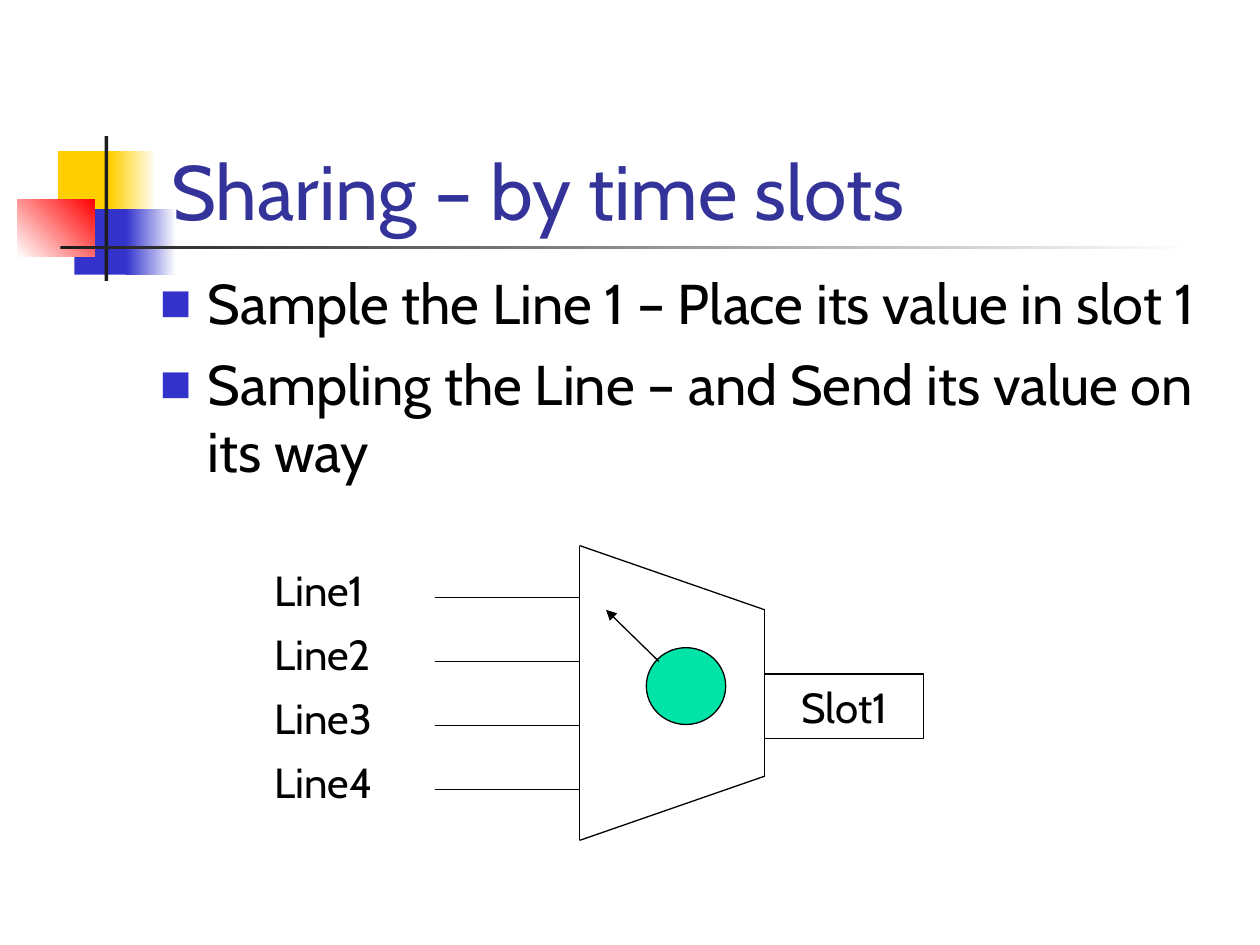
import pptx
import pptx.util
import pptx.dml.color
import pptx.enum.shapes
import pptx.enum.text
import pptx.oxml
import pptx.oxml.ns

WIDTH, HEIGHT = pptx.util.Inches(10), pptx.util.Inches(7.5)
COLUMN, ROW = WIDTH / 100, HEIGHT / 75
FONT = "Cabin"
COLORS = {
    "title": "333399",
    "text": "000000",
    "paper": "FFFFFF",
    "yellow": "FFCF01",
    "blue": "3333CC",
    "red": "FF0000",
    "bar": "1C1C1C",
    "dial": "00E4A8",
}
SHAPE = pptx.enum.shapes.MSO_SHAPE
ANCHOR = pptx.enum.text.MSO_ANCHOR
ALIGN = pptx.enum.text.PP_ALIGN


def rgb(name):
    return pptx.dml.color.RGBColor.from_string(COLORS[name])


def measure(column, row):
    return round(column * COLUMN), round(row * ROW)


def inside(box, column, row, width, height):
    return box[0] + column, box[1] + row, width, height


def emu(box):
    return measure(*box[:2]) + measure(*box[2:])


def add_element(parent, tag, **attributes):
    element = pptx.oxml.parse_xml(f"<a:{tag} {pptx.oxml.ns.nsdecls('a')}/>")
    for key, value in attributes.items():
        element.set(key, value)
    parent.append(element)
    return element


def write(frame, text, size=24, color="text", align=ALIGN.LEFT,
          anchor=ANCHOR.TOP, wrap=True, space=0, bullet=None):
    frame.word_wrap = wrap
    frame.vertical_anchor = anchor
    for index, line in enumerate(text.split("\n")):
        para = frame.add_paragraph() if index else frame.paragraphs[0]
        para.alignment = align
        para.space_before = pptx.util.Pt(space if index else 0)
        if bullet:
            properties = para._p.get_or_add_pPr()
            indent = pptx.util.Inches(0.38)
            properties.set("marL", str(indent))
            properties.set("indent", str(-indent))
            tint = add_element(properties, "buClr")
            add_element(tint, "srgbClr", val=COLORS["blue"])
            add_element(properties, "buSzPct", val="60000")
            add_element(properties, "buFont", typeface=FONT)
            add_element(properties, "buChar", char=bullet)
        span = para.add_run()
        span.text = line
        span.font.name = FONT
        span.font.size = pptx.util.Pt(size)
        span.font.color.rgb = rgb(color)


def add_shape(page, kind, box, fill, fade=None, angle=0, outline=False):
    shape = page.shapes.add_shape(kind, *emu(box))
    shape.shadow.inherit = False
    if fade:
        shape.fill.gradient()
        shape.fill.gradient_angle = angle
        for stop, position, color in zip(shape.fill.gradient_stops, (0, 1), (fill, fade)):
            stop.position = position
            stop.color.rgb = rgb(color)
    else:
        shape.fill.solid()
        shape.fill.fore_color.rgb = rgb(fill)
    if outline:
        shape.line.color.rgb = rgb("text")
        shape.line.width = pptx.util.Pt(0.75)
    else:
        shape.line.fill.background()
    return shape


def add_line(page, box, start, end, arrow=False):
    points = [measure(box[0] + column, box[1] + row) for column, row in (start, end)]
    line = page.shapes.add_connector(
        pptx.enum.shapes.MSO_CONNECTOR.STRAIGHT, *points[0], *points[1])
    line.line.color.rgb = rgb("text")
    line.line.width = pptx.util.Pt(0.75)
    if arrow:
        add_element(line.line._get_or_add_ln(), "tailEnd", type="triangle")
    add_element(line._element.spPr, "effectLst")


def add_ornament(page, box):
    tiles = [
        ((3.2, 1.2, 4.8, 5.2), "yellow", None, 0),
        ((7.4, 1.2, 3.6, 5.2), "yellow", "paper", 0),
        ((4.5, 5.8, 4.6, 5.2), "blue", None, 0),
        ((8.6, 5.8, 4, 5.2), "blue", "paper", 0),
        ((0, 5, 6.1, 4.6), "paper", "red", 45),
        ((6.9, 0, 0.3, 11.5), "bar", None, 0),
        ((3.4, 8.7, 90, 0.3), "bar", "paper", 0),
    ]
    for tile, fill, fade, angle in tiles:
        add_shape(page, SHAPE.RECTANGLE, inside(box, *tile), fill, fade, angle)


def add_title(page, box, text):
    title = page.shapes.title
    title.left, title.top, title.width, title.height = emu(box)
    write(title.text_frame, text, size=44, color="title", anchor=ANCHOR.BOTTOM)


def add_bullets(page, box, lines):
    body = page.shapes.add_textbox(*emu(box))
    write(body.text_frame, "\n".join(lines), size=32, space=8, bullet="■")


def add_multiplexer(page, box, inputs, output):
    left, right, bottom = 25.2, 39.9, box[3]
    upper, lower = 5.1, bottom - 5.1
    corners = [(left, 0), (right, upper), (right, lower), (left, bottom)]
    for start, end in zip(corners, corners[1:] + corners[:1]):
        add_line(page, box, start, end)

    slot = add_shape(page, SHAPE.RECTANGLE, inside(box, right, 10.2, 12.6, 5.1),
                     "paper", outline=True)
    write(slot.text_frame, output, align=ALIGN.CENTER, anchor=ANCHOR.MIDDLE, wrap=False)

    pitch = 5.08
    for index, name in enumerate(inputs):
        row = 4.1 + index * pitch
        add_line(page, box, (13.7, row), (left, row))
        label = page.shapes.add_textbox(*emu(inside(box, 0, row - 3.1, 12.6, 5)))
        write(label.text_frame, name)

    add_shape(page, SHAPE.OVAL, inside(box, 30.5, 8.1, 6.3, 6.1), "dial", outline=True)
    add_line(page, box, (31.5, 9.2), (27.3, 5.1), arrow=True)


def main():
    deck = pptx.Presentation()
    deck.slide_width, deck.slide_height = WIDTH, HEIGHT
    page = deck.slides.add_slide(deck.slide_layouts.get_by_name("Title Only"))
    add_ornament(page, (1.4, 10.8, 93.4, 11.5))
    add_title(page, (12.6, 6.7, 85.2, 12.5), "Sharing – by time slots")
    add_bullets(page, (11.7, 20.8, 85, 28.3), [
        "Sample the Line 1 – Place its value in slot 1",
        "Sampling the Line – and Send its value on its way",
    ])
    add_multiplexer(page, (20.8, 43.3, 52.5, 23.4),
                    [f"Line{number}" for number in range(1, 5)], "Slot1")
    deck.save("out.pptx")


if __name__ == "__main__":
    main()
